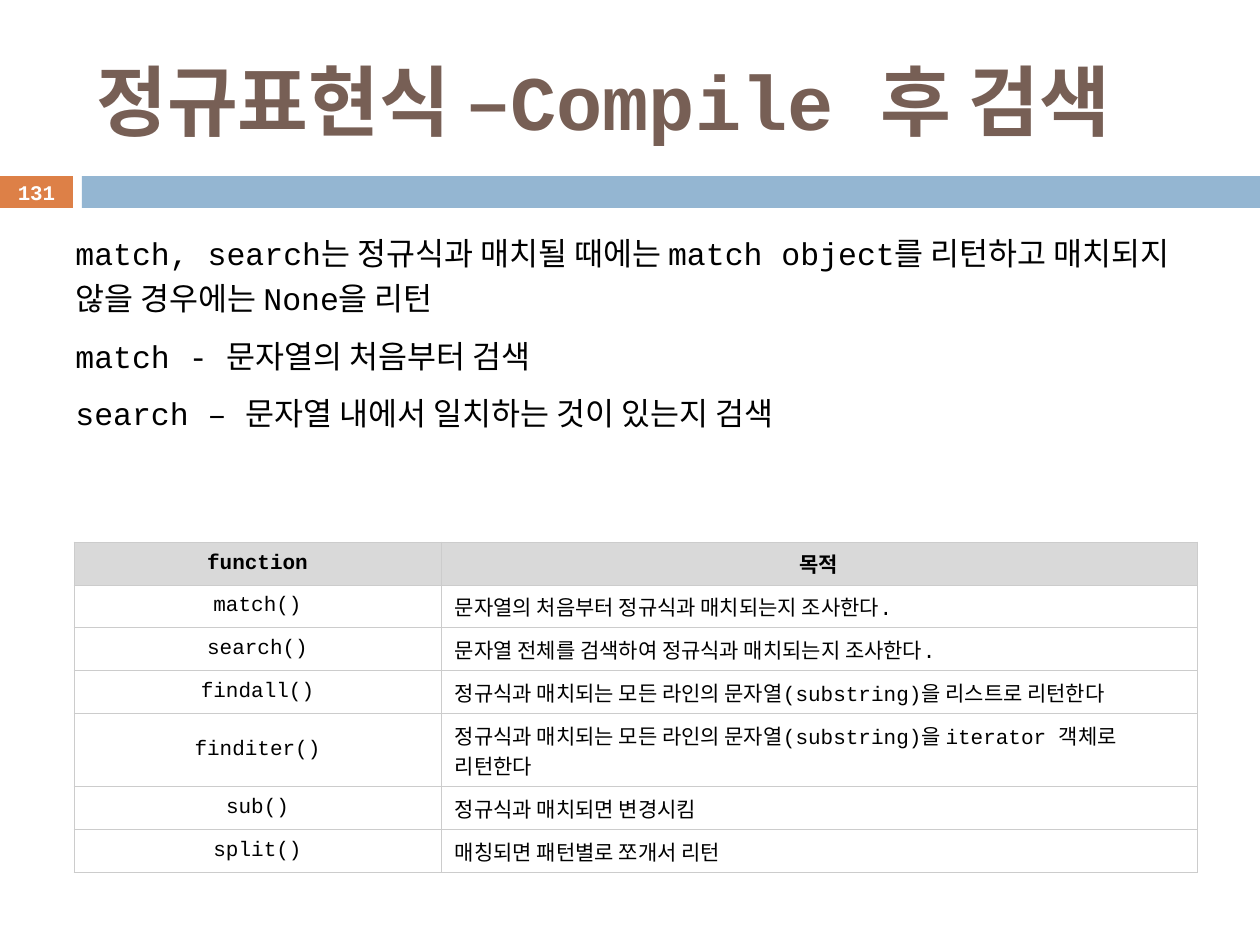
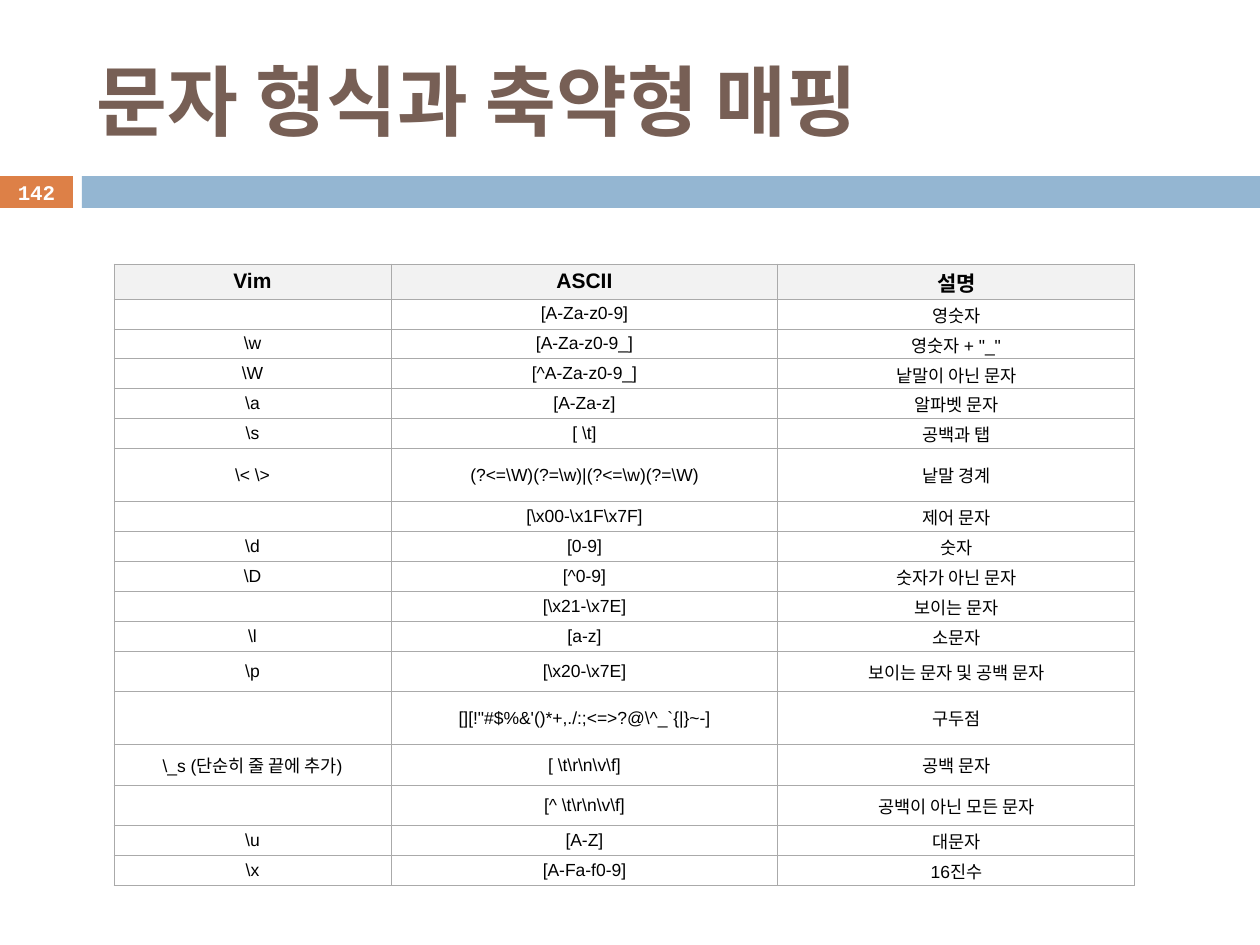
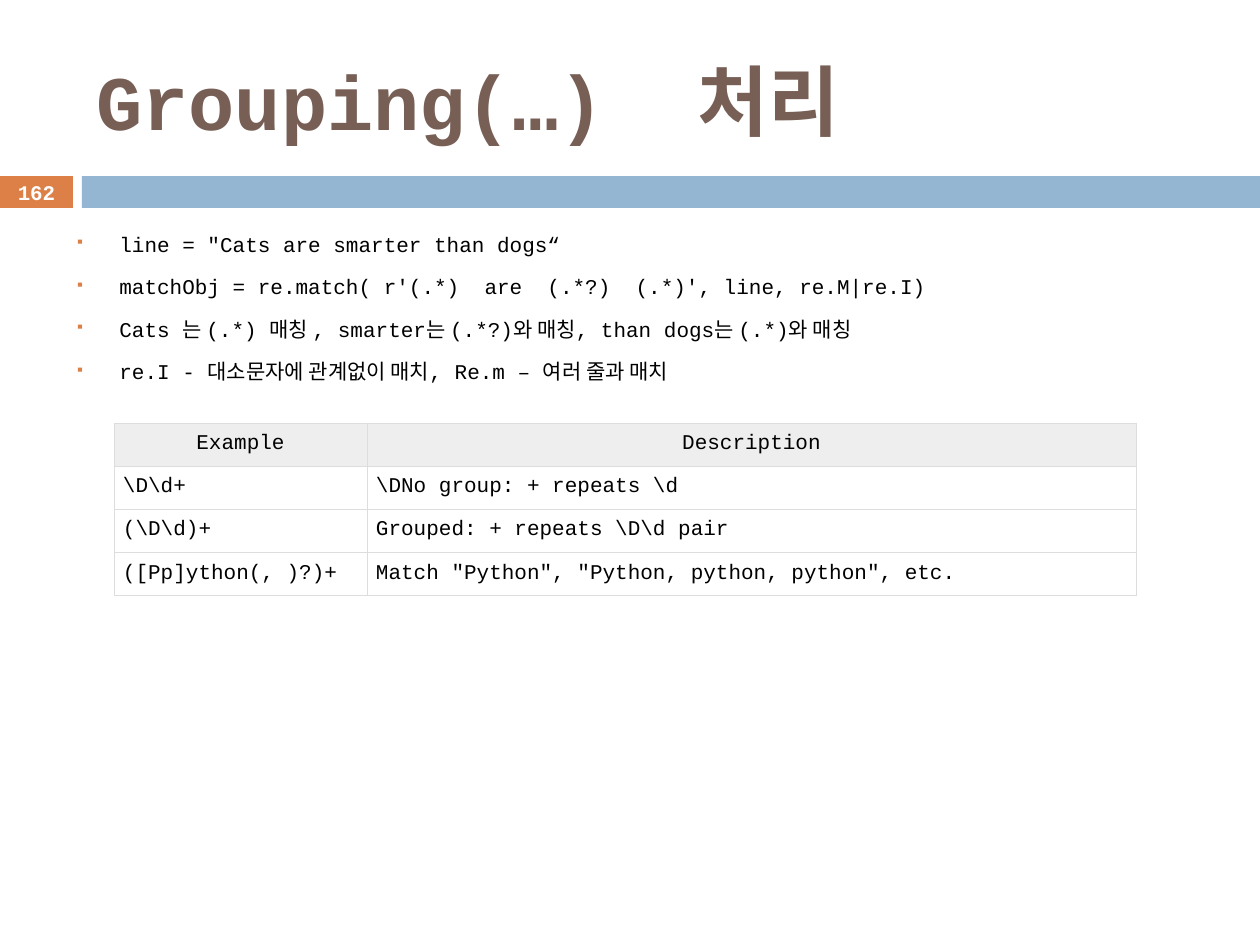
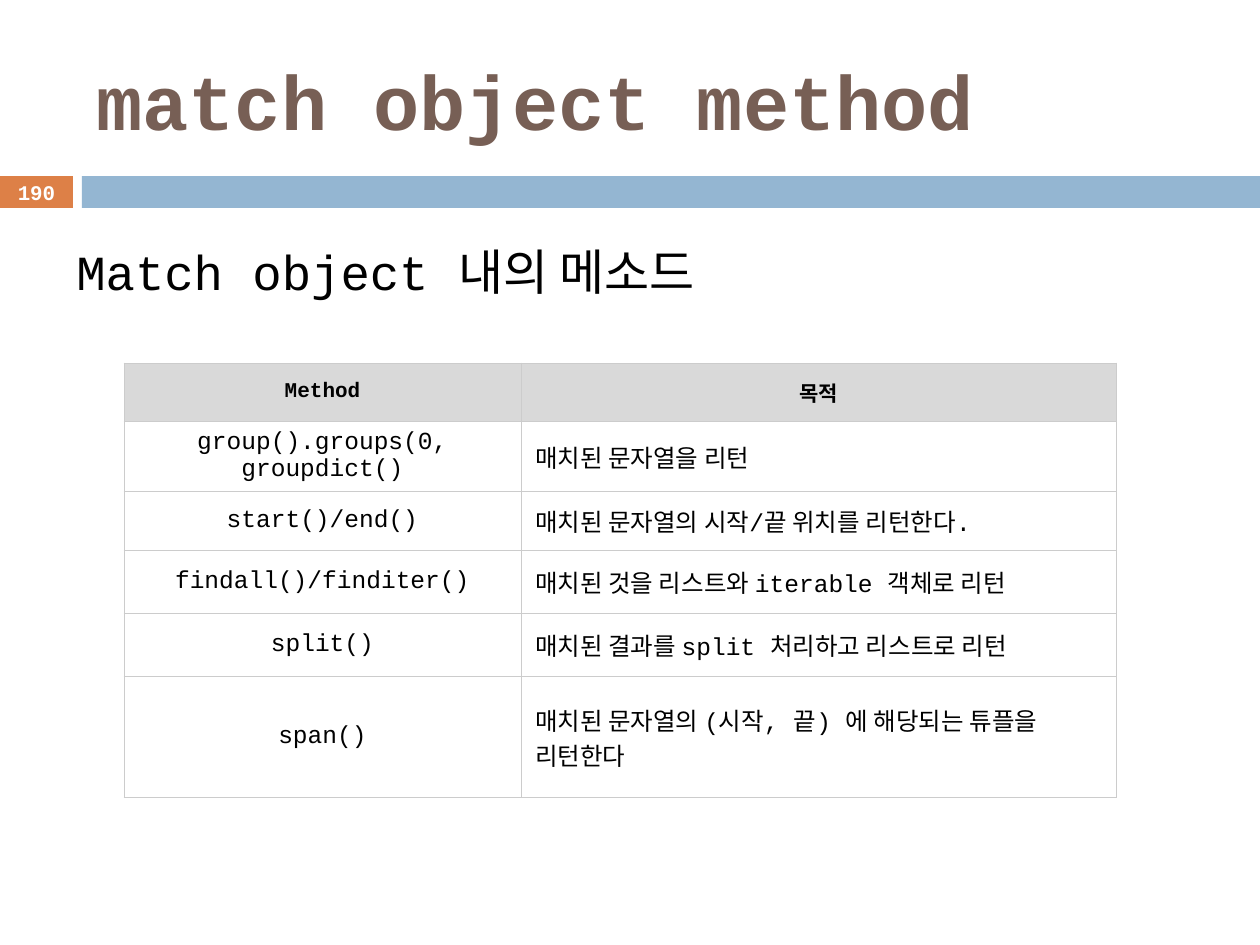
"""Build four slides on regular expressions: text, tables and a shared page frame."""
from lxml.etree import SubElement
from pptx import Presentation
from pptx.dml.color import RGBColor
from pptx.enum.shapes import MSO_SHAPE
from pptx.enum.text import MSO_ANCHOR, PP_ALIGN
from pptx.oxml.ns import qn
from pptx.util import Emu, Pt

WIDTH, HEIGHT = 1260, 945
ORANGE = RGBColor(0xDD, 0x80, 0x47)
BLUE = RGBColor(0x94, 0xB6, 0xD2)
BROWN = RGBColor(0x77, 0x5F, 0x55)
BLACK = RGBColor(0, 0, 0)
WHITE = RGBColor(255, 255, 255)
GRAY_D9 = RGBColor(0xD9, 0xD9, 0xD9)
GRAY_F2 = RGBColor(0xF2, 0xF2, 0xF2)
GRAY_EE = RGBColor(0xEE, 0xEE, 0xEE)
LINE_CC = RGBColor(0xCC, 0xCC, 0xCC)
LINE_AA = RGBColor(0xAA, 0xAA, 0xAA)
LINE_DD = RGBColor(0xDD, 0xDD, 0xDD)
MONO, SANS = "Courier New", "Arial"
ALIGN = {"l": PP_ALIGN.LEFT, "c": PP_ALIGN.CENTER}


def px(n):
    return Emu(round(n * 914400 / 126))


class Deck:
    def __init__(self):
        self.prs = Presentation()
        self.prs.slide_width, self.prs.slide_height = px(WIDTH), px(HEIGHT)
        self.s = None

    def slide(self, title, number):
        self.s = self.prs.slides.add_slide(self.prs.slide_layouts[6])
        self.band(0, 73, ORANGE)
        self.band(82, WIDTH - 82, BLUE)
        self.text((84, 32, 1124, 136), [title], 44, BROWN, bold=True, anchor=MSO_ANCHOR.MIDDLE)
        self.text((0, 175, 73, 34), [number], 11.9, WHITE, bold=True,
                  anchor=MSO_ANCHOR.MIDDLE, align="c")

    def band(self, x, w, color):
        sp = self.s.shapes.add_shape(MSO_SHAPE.RECTANGLE, px(x), px(176), px(w), px(32))
        sp.shadow.inherit = False
        sp.fill.solid()
        sp.fill.fore_color.rgb = color
        sp.line.fill.background()

    def style(self, p, text, size, color=BLACK, font=MONO, bold=False, align="l"):
        p.text = text
        p.alignment = ALIGN[align]
        for r in p.runs:
            r.font.name, r.font.size, r.font.bold = font, Pt(size), bold
            r.font.color.rgb = color
        if not text:
            p._p.get_or_add_endParaRPr().set("sz", str(size * 100))

    def text(self, box, lines, size, color=BLACK, bold=False, anchor=MSO_ANCHOR.TOP, align="l"):
        tf = self.s.shapes.add_textbox(*map(px, box)).text_frame
        tf.word_wrap = True
        tf.vertical_anchor = anchor
        for i, line in enumerate(lines):
            p = tf.add_paragraph() if i else tf.paragraphs[0]
            self.style(p, line, size, color, bold=bold, align=align)
        return tf

    def body(self, box, lines, size, bullets=False):
        tf = self.text(box, lines, size)
        for i, p in enumerate(tf.paragraphs):
            p.line_spacing = 1.2
            p.space_before = Pt(7 if i else 0)
            if bullets:
                self.bullet(p)

    def bullet(self, p):
        pPr = p._p.get_or_add_pPr()
        pPr.set("marL", str(px(44)))
        pPr.set("indent", str(px(-44)))
        SubElement(SubElement(pPr, qn("a:buClr")), qn("a:srgbClr"), val=str(ORANGE))
        SubElement(pPr, qn("a:buSzPct"), val="60000")
        SubElement(pPr, qn("a:buChar"), char="▪")

    def border(self, cell, color):
        tcPr = cell._tc.get_or_add_tcPr()
        for side in ("lnL", "lnR", "lnT", "lnB"):
            ln = SubElement(tcPr, qn(f"a:{side}"), w=str(Pt(0.6)))
            SubElement(SubElement(ln, qn("a:solidFill")), qn("a:srgbClr"), val=str(color))

    def table(self, x, y, cols, heights, rows, aligns, head_fill, line, inset, size=12,
              font=MONO, head_bold=True, fill=None, anchor=MSO_ANCHOR.MIDDLE):
        frame = self.s.shapes.add_table(len(rows), len(cols), px(x), px(y),
                                        px(sum(cols)), px(sum(heights)))
        tbl = frame.table
        tbl.first_row = tbl.horz_banding = False
        for col, w in zip(tbl.columns, cols):
            col.width = px(w)
        for i, (row, h, texts) in enumerate(zip(tbl.rows, heights, rows)):
            row.height = px(h)
            for cell, text, align in zip(row.cells, texts, aligns):
                head = i == 0
                cell.margin_left = cell.margin_right = px(inset[0])
                cell.margin_top = cell.margin_bottom = px(inset[1])
                cell.vertical_anchor = anchor
                self.border(cell, line)
                color = head_fill if head else fill
                if color is None:
                    cell.fill.background()
                else:
                    cell.fill.solid()
                    cell.fill.fore_color.rgb = color
                self.style(cell.text_frame.paragraphs[0], text, 12 if head else size, font=font,
                           bold=head and head_bold, align="c" if head else align)


def compile_slide(d):
    d.slide("정규표현식 –Compile 후 검색", "131")
    d.body((63, 220, 1134, 301), [
        "match, search는 정규식과 매치될 때에는 match object를 리턴하고 매치되지 않을 경우에는 None을 리턴",
        "match - 문자열의 처음부터 검색",
        "search – 문자열 내에서 일치하는 것이 있는지 검색",
    ], 18)
    rows = [
        ("function", "목적"),
        ("match()", "문자열의 처음부터 정규식과 매치되는지 조사한다."),
        ("search()", "문자열 전체를 검색하여 정규식과 매치되는지 조사한다."),
        ("findall()", "정규식과 매치되는 모든 라인의 문자열(substring)을 리스트로 리턴한다"),
        ("finditer()", "정규식과 매치되는 모든 라인의 문자열(substring)을 iterator 객체로 리턴한다"),
        ("sub()", "정규식과 매치되면 변경시킴"),
        ("split()", "매칭되면 패턴별로 쪼개서 리턴"),
    ]
    d.table(74, 542, (367, 756), [43] * 4 + [73] + [43] * 2, rows, "cl",
            GRAY_D9, LINE_CC, (14, 6), fill=WHITE)


def mapping_slide(d):
    d.slide("문자 형식과 축약형 매핑", "142")
    rows = [
        ("Vim", "ASCII", "설명"),
        ("", "[A-Za-z0-9]", "영숫자"),
        (r"\w", "[A-Za-z0-9_]", '영숫자 + "_"'),
        (r"\W", "[^A-Za-z0-9_]", "낱말이 아닌 문자"),
        (r"\a", "[A-Za-z]", "알파벳 문자"),
        (r"\s", r"[ \t]", "공백과 탭"),
        (r"\< \>", r"(?<=\W)(?=\w)|(?<=\w)(?=\W)", "낱말 경계"),
        ("", r"[\x00-\x1F\x7F]", "제어 문자"),
        (r"\d", "[0-9]", "숫자"),
        (r"\D", "[^0-9]", "숫자가 아닌 문자"),
        ("", r"[\x21-\x7E]", "보이는 문자"),
        (r"\l", "[a-z]", "소문자"),
        (r"\p", r"[\x20-\x7E]", "보이는 문자 및 공백 문자"),
        ("", r"""[][!"#$%&'()*+,./:;<=>?@\^_`{|}~-]""", "구두점"),
        (r"\_s (단순히 줄 끝에 추가)", r"[ \t\r\n\v\f]", "공백 문자"),
        ("", r"[^ \t\r\n\v\f]", "공백이 아닌 모든 문자"),
        (r"\u", "[A-Z]", "대문자"),
        (r"\x", "[A-Fa-f0-9]", "16진수"),
    ]
    heights = [35] + [30] * 5 + [53] + [30] * 5 + [40, 53, 41, 40, 30, 30]
    d.table(114, 264, (277, 387, 357), heights, rows, "ccc",
            GRAY_F2, LINE_AA, (5, 3), size=10, font=SANS)


def grouping_slide(d):
    d.slide("Grouping(…)  처리", "162")
    d.body((63, 220, 1134, 193), [
        'line = "Cats are smarter than dogs“',
        "matchObj = re.match( r'(.*)  are  (.*?)  (.*)', line, re.M|re.I)",
        "Cats 는 (.*) 매칭 , smarter는 (.*?)와 매칭, than dogs는 (.*)와 매칭",
        "re.I - 대소문자에 관계없이 매치, Re.m – 여러 줄과 매치",
    ], 12, bullets=True)
    rows = [
        ("Example", "Description"),
        (r"\D\d+", r"\DNo group: + repeats \d"),
        (r"(\D\d)+", r"Grouped: + repeats \D\d pair"),
        ("([Pp]ython(, )?)+", 'Match "Python", "Python, python, python", etc.'),
    ]
    d.table(114, 423, (253, 769), [41] * 4, rows, "ll", GRAY_EE, LINE_DD, (9, 9),
            head_bold=False, anchor=MSO_ANCHOR.TOP)


def method_slide(d):
    d.slide("match object method", "190")
    d.body((64, 224, 1134, 93), ["Match object 내의 메소드"], 28)
    rows = [
        ("Method", "목적"),
        ("group().groups(0, groupdict()", "매치된 문자열을 리턴"),
        ("start()/end()", "매치된 문자열의 시작/끝 위치를 리턴한다."),
        ("findall()/finditer()", "매치된 것을 리스트와 iterable 객체로 리턴"),
        ("split()", "매치된 결과를 split 처리하고 리스트로 리턴"),
        ("span()", "매치된 문자열의 (시작, 끝) 에 해당되는 튜플을 리턴한다"),
    ]
    d.table(124, 363, (397, 595), (58, 68, 59, 63, 63, 121), rows, "cl",
            GRAY_D9, LINE_CC, (14, 6), size=14, fill=WHITE)


def main():
    d = Deck()
    for build in (compile_slide, mapping_slide, grouping_slide, method_slide):
        build(d)
    d.prs.save("out.pptx")


if __name__ == "__main__":
    main()
